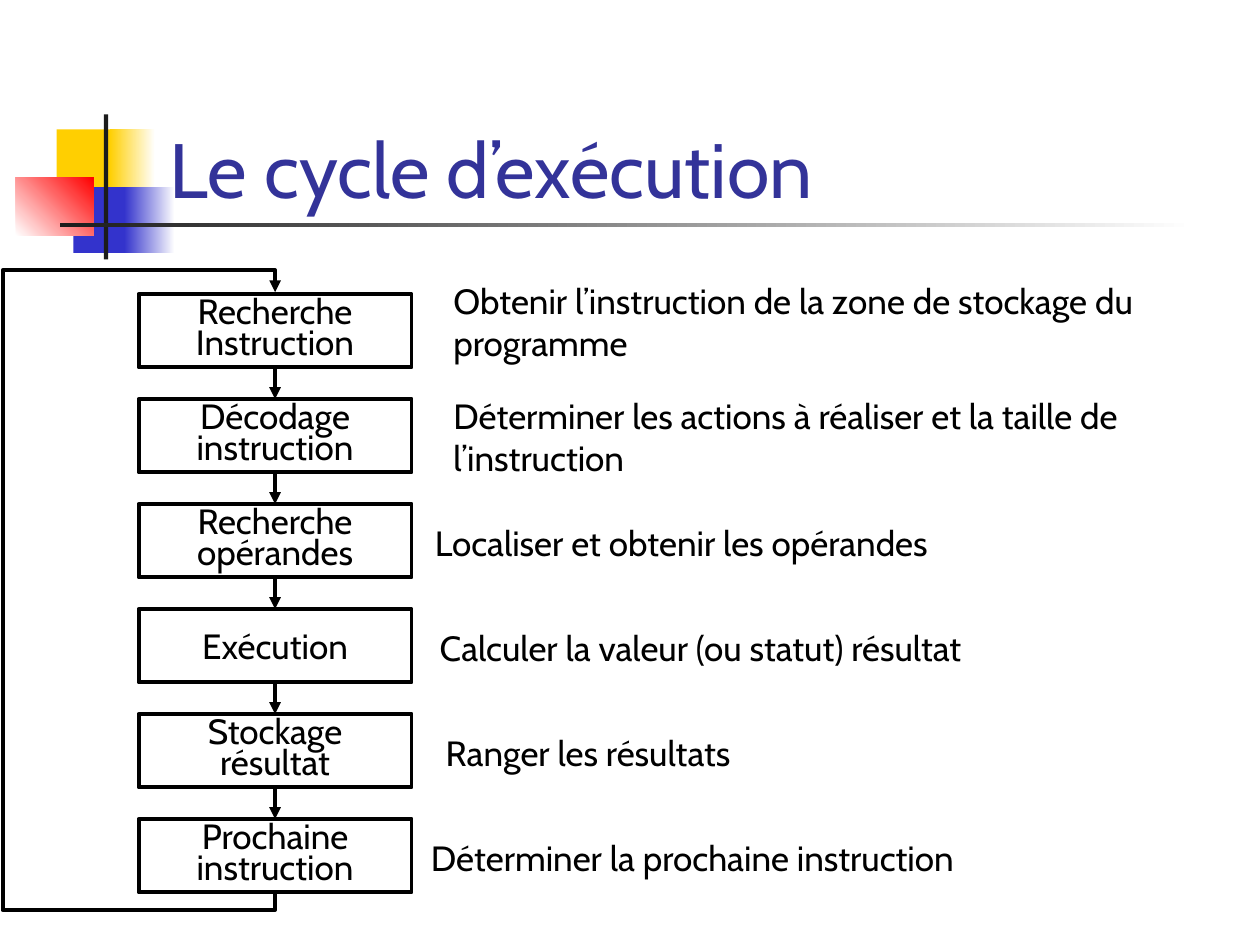
from dataclasses import dataclass
from itertools import pairwise
from typing import Optional

from lxml.etree import SubElement
from pptx import Presentation
from pptx.dml.color import RGBColor
from pptx.enum.shapes import MSO_CONNECTOR, MSO_SHAPE
from pptx.enum.text import MSO_ANCHOR, PP_ALIGN
from pptx.oxml.ns import qn
from pptx.util import Pt

BLACK = RGBColor(0x00, 0x00, 0x00)
WHITE = RGBColor(0xFF, 0xFF, 0xFF)
YELLOW = RGBColor(0xFF, 0xCF, 0x01)
BLUE = RGBColor(0x33, 0x33, 0xCC)
RED = RGBColor(0xFF, 0x00, 0x00)
CHARCOAL = RGBColor(0x1C, 0x1C, 0x1C)
TITLE_BLUE = RGBColor(0x33, 0x33, 0x99)

FONT = "Cabin"
LINE_WIDTH = 2.25
STEP_LEFT, STEP_TOP = 79.2, 168
STEP_WIDTH, STEP_HEIGHT = 156, 42
STEP_PITCH = 60


@dataclass(frozen=True)
class Ornament:
    left: float
    top: float
    width: float
    height: float
    color: RGBColor
    end_color: Optional[RGBColor] = None
    angle: float = 0


@dataclass(frozen=True)
class Step:
    label: str
    description: str
    left: float
    width: float
    offset: float = 6.4
    height: float = 31.5


ORNAMENTS = [
    Ornament(32.4, 74, 34.6, 37.6, YELLOW),
    Ornament(62.6, 74, 26, 37.6, YELLOW, WHITE),
    Ornament(42, 107, 33, 37.6, BLUE),
    Ornament(71, 107, 29, 37.6, BLUE, WHITE),
    Ornament(9, 101.3, 44.3, 33.2, WHITE, RED, 45),
    Ornament(59.4, 65.4, 2.4, 82.8, CHARCOAL),
    Ornament(34.4, 127.4, 648, 2.6, CHARCOAL, WHITE),
]

STEPS = [
    Step("Recherche\nInstruction",
         "Obtenir l’instruction de la zone de stockage du programme",
         252, 427, -11.8, 55.4),
    Step("Décodage\ninstruction",
         "Déterminer les actions à réaliser et la taille de l’instruction",
         252, 425, -6.2, 55.4),
    Step("Recherche\nopérandes", "Localiser et obtenir les opérandes", 241.4, 332.6),
    Step("Exécution", "Calculer la valeur (ou statut) résultat", 244.2, 355),
    Step("Stockage\nrésultat", "Ranger les résultats", 247.6, 201),
    Step("Prochaine\ninstruction", "Déterminer la prochaine instruction", 239.2, 351.4),
]


def format_text(frame, size: float, color: RGBColor) -> None:
    for paragraph in frame.paragraphs:
        for run in paragraph.runs:
            run.font.name = FONT
            run.font.size = Pt(size)
            run.font.color.rgb = color


def add_text(slide, text: str, left: float, top: float, width: float,
             height: float, size: float, color: RGBColor,
             anchor: MSO_ANCHOR = MSO_ANCHOR.TOP) -> None:
    frame = slide.shapes.add_textbox(
        Pt(left), Pt(top), Pt(width), Pt(height)).text_frame
    frame.word_wrap = True
    frame.vertical_anchor = anchor
    frame.text = text
    format_text(frame, size, color)


def add_ornament(slide, ornament: Ornament) -> None:
    block = slide.shapes.add_shape(
        MSO_SHAPE.RECTANGLE, Pt(ornament.left), Pt(ornament.top),
        Pt(ornament.width), Pt(ornament.height))
    block.shadow.inherit = False
    block.line.fill.background()
    if ornament.end_color is None:
        block.fill.solid()
        block.fill.fore_color.rgb = ornament.color
        return
    block.fill.gradient()
    block.fill.gradient_angle = ornament.angle
    colors = (ornament.color, ornament.end_color)
    for stop, color in zip(block.fill.gradient_stops, colors):
        stop.color.rgb = color


def style_line(shape) -> None:
    shape.line.color.rgb = BLACK
    shape.line.width = Pt(LINE_WIDTH)


def add_arrowhead(shape) -> None:
    outline = shape.element.spPr.find(qn("a:ln"))
    SubElement(outline, qn("a:tailEnd"), type="triangle")


def add_step(slide, step: Step, top: float):
    box = slide.shapes.add_shape(
        MSO_SHAPE.RECTANGLE, Pt(STEP_LEFT), Pt(top),
        Pt(STEP_WIDTH), Pt(STEP_HEIGHT))
    box.shadow.inherit = False
    box.fill.background()
    style_line(box)
    frame = box.text_frame
    frame.word_wrap = False
    frame.vertical_anchor = MSO_ANCHOR.MIDDLE
    frame.text = step.label
    for paragraph in frame.paragraphs:
        paragraph.alignment = PP_ALIGN.CENTER
        if len(frame.paragraphs) > 1:
            paragraph.line_spacing = 0.75
    format_text(frame, 20, BLACK)
    add_text(slide, step.description, step.left, top + step.offset,
             step.width, step.height, 20, BLACK)
    return box


def connect_steps(slide, upper, lower) -> None:
    arrow = slide.shapes.add_connector(MSO_CONNECTOR.STRAIGHT, 0, 0, 0, 0)
    arrow.begin_connect(upper, 2)
    arrow.end_connect(lower, 0)
    style_line(arrow)
    add_arrowhead(arrow)
    SubElement(arrow.element.spPr, qn("a:effectLst"))


def add_return_loop(slide) -> None:
    center = STEP_LEFT + STEP_WIDTH / 2
    bottom = STEP_TOP + (len(STEPS) - 1) * STEP_PITCH + STEP_HEIGHT
    outer_left, outer_top, outer_bottom = 1.5, 154.4, 520
    builder = slide.shapes.build_freeform(Pt(center), Pt(bottom))
    corners = [(center, outer_bottom), (outer_left, outer_bottom),
               (outer_left, outer_top), (center, outer_top),
               (center, STEP_TOP - 1)]
    builder.add_line_segments([(Pt(x), Pt(y)) for x, y in corners], close=False)
    loop = builder.convert_to_shape()
    loop.shadow.inherit = False
    loop.fill.background()
    style_line(loop)
    add_arrowhead(loop)


def main() -> None:
    presentation = Presentation()
    presentation.slide_width = Pt(720)
    presentation.slide_height = Pt(540)
    slide = presentation.slides.add_slide(presentation.slide_layouts[6])
    for ornament in ORNAMENTS:
        add_ornament(slide, ornament)
    add_text(slide, "Le cycle d’exécution", 90, 36, 613.4, 90, 44,
             TITLE_BLUE, MSO_ANCHOR.BOTTOM)
    boxes = [add_step(slide, step, STEP_TOP + index * STEP_PITCH)
             for index, step in enumerate(STEPS)]
    for upper, lower in pairwise(boxes):
        connect_steps(slide, upper, lower)
    add_return_loop(slide)
    presentation.save("out.pptx")


if __name__ == "__main__":
    main()
